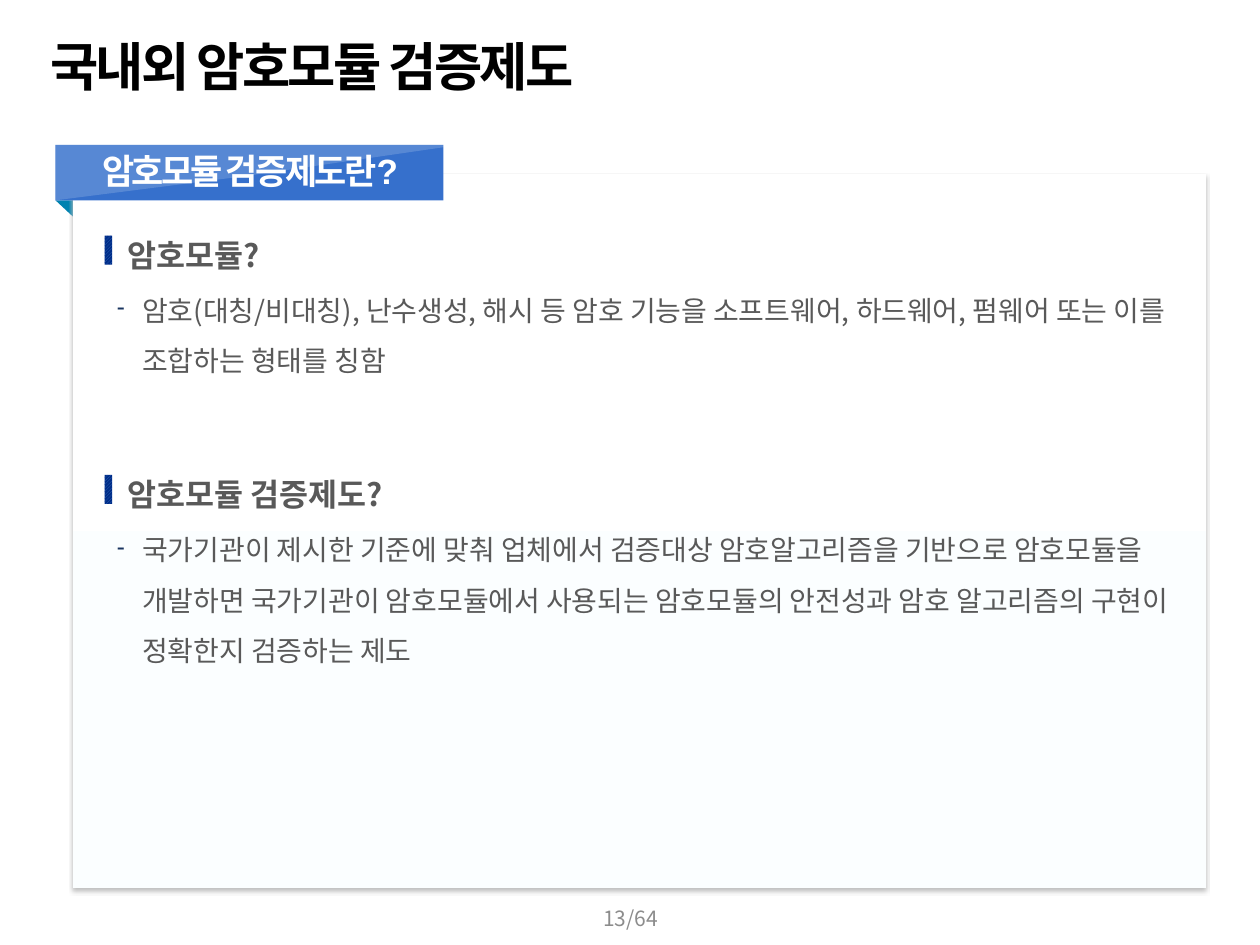
import lxml.etree
import pptx
import pptx.dml.color
import pptx.enum.dml
import pptx.enum.shapes
import pptx.enum.text
import pptx.oxml.ns
import pptx.util

RGBColor = pptx.dml.color.RGBColor
Shape = pptx.enum.shapes.MSO_SHAPE
Align = pptx.enum.text.PP_ALIGN
Anchor = pptx.enum.text.MSO_ANCHOR
qn = pptx.oxml.ns.qn

BLACK = RGBColor(0, 0, 0)
WHITE = RGBColor(255, 255, 255)
TEXT_GRAY = RGBColor(0x59, 0x59, 0x59)
PAGE_GRAY = RGBColor(0x8C, 0x8C, 0x8C)
SHADOW_GRAY = RGBColor(0xBF, 0xBF, 0xBF)
PANEL_TINT = RGBColor(0xFB, 0xFE, 0xFF)
RIBBON_BLUE = RGBColor(0x36, 0x70, 0xCC)
FOLD_TEAL = RGBColor(0x00, 0x82, 0xB0)
BAR_LIGHT = RGBColor(0x2E, 0x64, 0xB4)
BAR_DARK = RGBColor(0x00, 0x2D, 0x89)
DASH_NAVY = RGBColor(0x19, 0x34, 0x5F)

BODY_FONT = "Noto Sans CJK KR"
COLUMNS = 100  # square cells, so the slide has 75 rows

SECTIONS = [
    (18.1, 12, "암호모듈?",
     "암호(대칭/비대칭), 난수생성, 해시 등 암호 기능을 소프트웨어, 하드웨어, 펌웨어 "
     "또는 이를 조합하는 형태를 칭함"),
    (37.1, 16, "암호모듈 검증제도?",
     "국가기관이 제시한 기준에 맞춰 업체에서 검증대상 암호알고리즘을 기반으로 암호모듈을 "
     "개발하면 국가기관이 암호모듈에서 사용되는 암호모듈의 안전성과 암호 알고리즘의 구현이 "
     "정확한지 검증하는 제도"),
]


def add_element(parent, tag, **attributes):
    element = lxml.etree.SubElement(parent, qn(tag))
    for name, value in attributes.items():
        element.set(name, str(value))
    return element


def write_text(paragraph, text, size=16, color=TEXT_GRAY, bold=False, font=BODY_FONT,
               spacing=None, align=None, line_spacing=None, before=None):
    run = paragraph.add_run()
    run.text = text
    run.font.size = pptx.util.Pt(size)
    run.font.bold = bold
    run.font.name = font
    run.font.color.rgb = color
    properties = run.font._element
    add_element(properties, "a:ea", typeface=BODY_FONT)
    if spacing is not None:
        properties.set("spc", str(int(spacing * 100)))
    if align is not None:
        paragraph.alignment = align
    if line_spacing is not None:
        paragraph.line_spacing = line_spacing
    if before is not None:
        paragraph.space_before = pptx.util.Pt(before)


class SlideBuilder:
    """Holds the slide and its grid of 100 columns by 75 rows."""

    def __init__(self, presentation):
        self.slide = presentation.slides.add_slide(presentation.slide_layouts[6])
        self.cell = presentation.slide_width // COLUMNS

    def length(self, cells):
        return pptx.util.Emu(round(cells * self.cell))

    def box(self, *cells):
        return [self.length(value) for value in cells]

    def shape(self, kind, area, color=None):
        shape = self.slide.shapes.add_shape(kind, *self.box(*area))
        shape.shadow.inherit = False
        shape.line.fill.background()
        if color is not None:
            shape.fill.solid()
            shape.fill.fore_color.rgb = color
        return shape

    def panel(self, area):
        shape = self.shape(Shape.RECTANGLE, area)
        shape.fill.gradient()
        shape.fill.gradient_angle = 270
        for stop, color in zip(shape.fill.gradient_stops, (WHITE, PANEL_TINT)):
            stop.color.rgb = color
        effects = shape._element.spPr.find(qn("a:effectLst"))
        distance = pptx.util.Pt(2)
        shadow = add_element(effects, "a:outerShdw", blurRad=distance, dist=distance,
                             dir=90 * 60000, algn="t", rotWithShape=0)
        add_element(shadow, "a:srgbClr", val=SHADOW_GRAY)

    def bar(self, area):
        shape = self.shape(Shape.RECTANGLE, area)
        shape.fill.patterned()
        shape.fill.pattern = pptx.enum.dml.MSO_PATTERN.LIGHT_UPWARD_DIAGONAL
        shape.fill.fore_color.rgb = BAR_LIGHT
        shape.fill.back_color.rgb = BAR_DARK

    def sheen(self, points, opacity):
        corners = [self.box(*point) for point in points]
        builder = self.slide.shapes.build_freeform(*corners[0])
        builder.add_line_segments(corners[1:], close=True)
        shape = builder.convert_to_shape()
        shape.shadow.inherit = False
        shape.line.fill.background()
        shape.fill.solid()
        shape.fill.fore_color.rgb = WHITE
        color = shape._element.spPr.find(qn("a:solidFill"))[0]
        add_element(color, "a:alpha", val=opacity * 1000)

    def frame(self, area, insets=(1, 0.5, 1, 0.5), anchor=Anchor.TOP, wrap=True):
        frame = self.slide.shapes.add_textbox(*self.box(*area)).text_frame
        frame.word_wrap = wrap
        frame.vertical_anchor = anchor
        (frame.margin_left, frame.margin_top,
         frame.margin_right, frame.margin_bottom) = self.box(*insets)
        return frame

    def label(self, area, text, insets=(1, 0.5, 1, 0.5), anchor=Anchor.TOP,
              wrap=True, **style):
        frame = self.frame(area, insets, anchor, wrap)
        write_text(frame.paragraphs[0], text, **style)

    def dash_bullet(self, paragraph):
        indent = self.length(2)
        properties = paragraph._p.get_or_add_pPr()
        properties.set("marL", str(indent))
        properties.set("indent", str(-indent))
        color = add_element(properties, "a:buClr")
        add_element(color, "a:srgbClr", val=DASH_NAVY)
        add_element(properties, "a:buSzPct", val=80000)
        add_element(properties, "a:buChar", char="-")
        tabs = add_element(properties, "a:tabLst")
        add_element(tabs, "a:tab", pos=indent, algn="l")

    def section(self, top, height, heading, body):
        frame = self.frame((7.3, top, 86.9, height), insets=(2, 0, 0.4, 0))
        frame.auto_size = pptx.enum.text.MSO_AUTO_SIZE.SHAPE_TO_FIT_TEXT
        first = frame.paragraphs[0]
        first._p.get_or_add_pPr().set("marL", str(self.length(0.8)))
        first._p.get_or_add_pPr().set("indent", "0")
        write_text(first, heading, size=18, bold=True, line_spacing=1.2)
        second = frame.add_paragraph()
        self.dash_bullet(second)
        write_text(second, body, line_spacing=1.5, before=2)
        self.bar((8.3, top + 0.6, 0.6, 2.3))


def main():
    presentation = pptx.Presentation()
    presentation.slide_width = pptx.util.Inches(10)
    presentation.slide_height = pptx.util.Inches(7.5)
    builder = SlideBuilder(presentation)

    # Ribbon fold, behind the panel
    fold = builder.shape(Shape.RIGHT_TRIANGLE, (4.5, 15.8, 2.7, 2.9), FOLD_TEAL)
    fold.rotation = 270
    fold._element.spPr.find(qn("a:xfrm")).set("flipH", "1")

    # Title, wide enough for one line, and content panel
    builder.label((2.4, 2.2, 60, 5.7), "국내외 암호모듈 검증제도", insets=(1.6, 0.5, 1, 0.5),
                  size=30, color=BLACK, bold=True, font="Arial", spacing=-1.5,
                  align=Align.LEFT)
    builder.panel((5.8, 13.8, 89.9, 56.7))

    # Ribbon
    builder.shape(Shape.RECTANGLE, (4.4, 11.5, 30.8, 4.4), RIBBON_BLUE)
    builder.sheen([(4.4, 11.5), (36.5, 11.5), (19.3, 14), (4.4, 15.9)], opacity=17)
    builder.label((5.3, 11.9, 29.1, 3.3), "암호모듈 검증제도란?", insets=(0, 0, 0, 0),
                  anchor=Anchor.MIDDLE, wrap=False, size=20, color=WHITE, bold=True,
                  font="Arial", spacing=-1.5, align=Align.CENTER)

    # Sections
    for section in SECTIONS:
        builder.section(*section)

    # Page number
    builder.label((38.8, 70.9, 22.5, 4), "13/64", anchor=Anchor.MIDDLE,
                  size=12, color=PAGE_GRAY, align=Align.CENTER)

    presentation.save("out.pptx")


if __name__ == "__main__":
    main()
